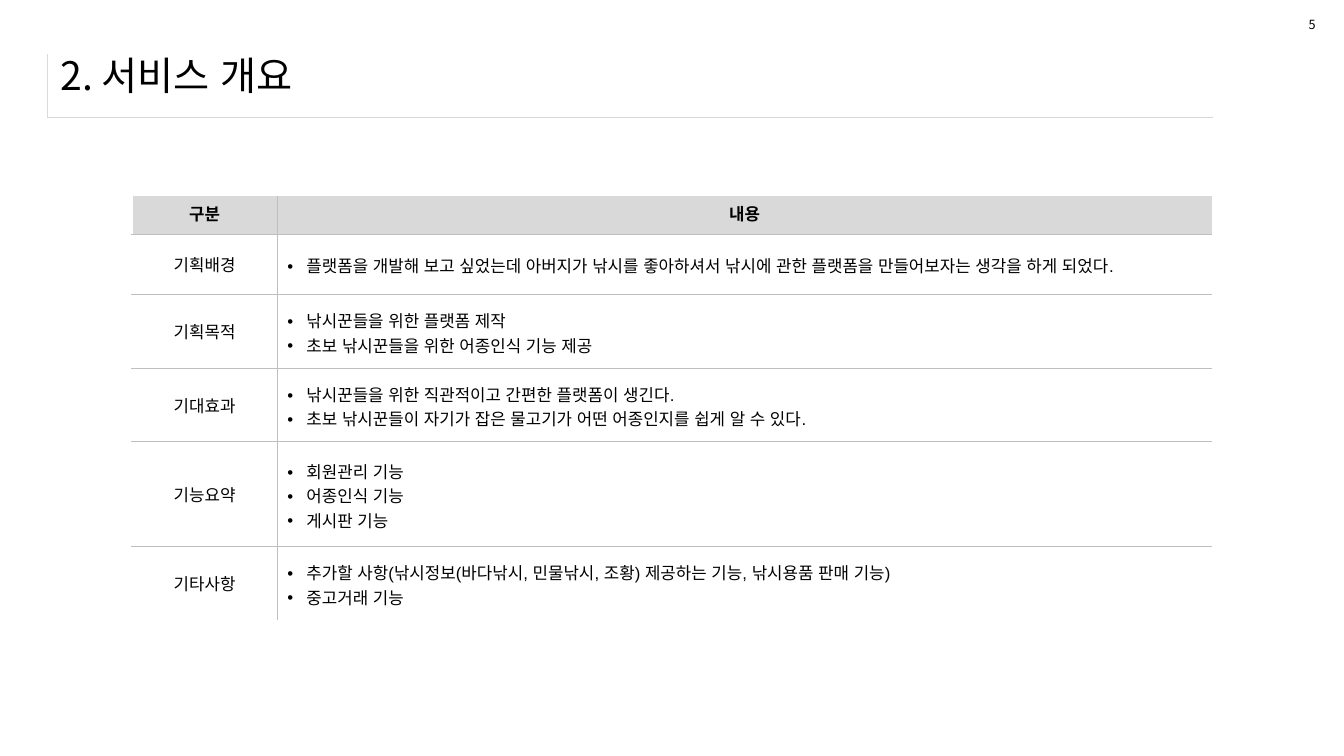
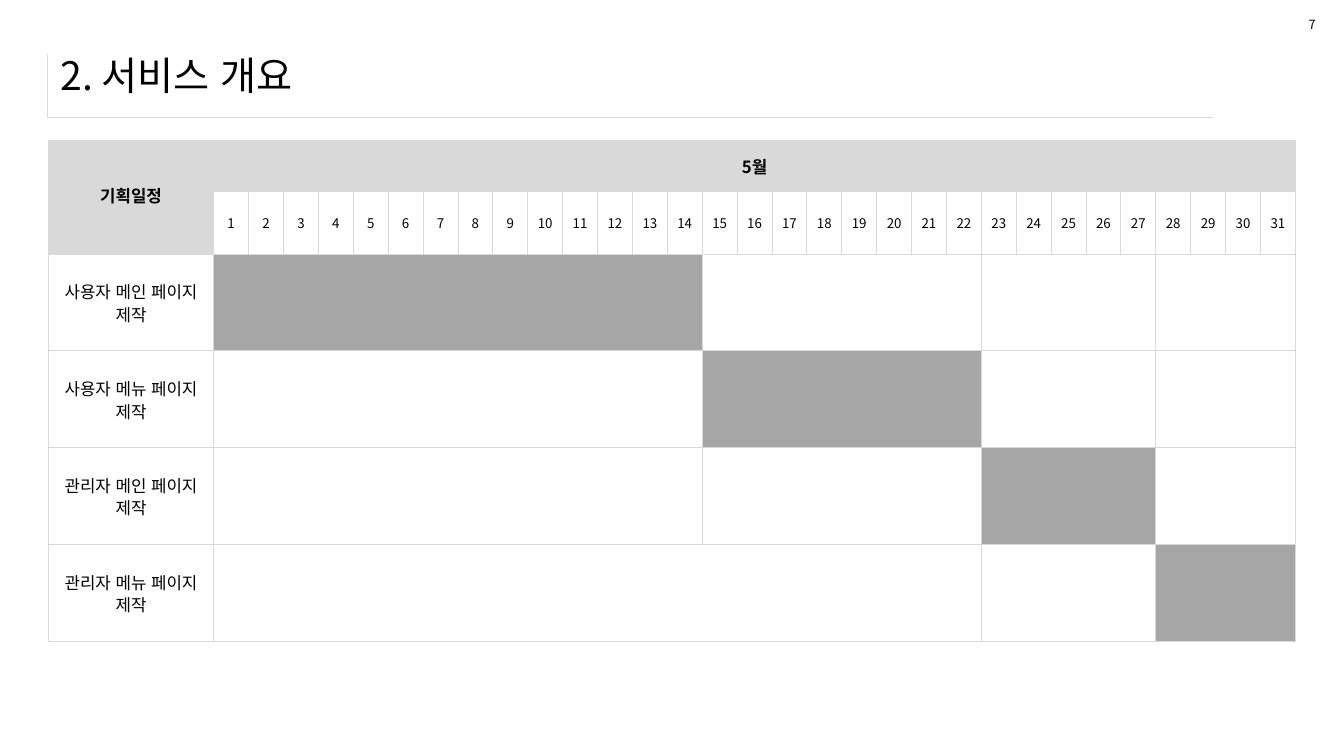
from dataclasses import dataclass
from pptx import Presentation, util as u
from pptx.dml.color import RGBColor
from pptx.enum import text as t
from pptx.oxml import ns, parse_xml

NOTO = "Noto Sans CJK KR"
ARIAL = "Arial"
BLACK, WHITE = "000000", "FFFFFF"
PALE, LINE, BAR = "D9D9D9", "BFBFBF", "A6A6A6"
PLAIN = "{2D5ABB26-0587-4C30-8999-92F81FD0307C}"
LEFT, MID, JUST = t.PP_ALIGN.LEFT, t.PP_ALIGN.CENTER, t.PP_ALIGN.JUSTIFY
TITLE = "2. 서비스 개요"
DAYS = 31


@dataclass(frozen=True)
class Topic:
    name: str
    points: tuple[str, ...]
    height: float = 0.73


@dataclass(frozen=True)
class Task:
    name: str
    start: int
    end: int
    cuts: tuple[int, ...] = (14, 22, 27)


@dataclass(frozen=True)
class Edge:
    color: str
    width: float


THIN, GRID, CLEAR = Edge(LINE, 0.25), Edge(PALE, 0.75), Edge(WHITE, 1)
RULE = Edge(PALE, 0.25)

TOPICS = (
    Topic("기획배경", (
        "플랫폼을 개발해 보고 싶었는데 아버지가 낚시를 좋아하셔서 "
        "낚시에 관한 플랫폼을 만들어보자는 생각을 하게 되었다.",), 0.6),
    Topic("기획목적", (
        "낚시꾼들을 위한 플랫폼 제작",
        "초보 낚시꾼들을 위한 어종인식 기능 제공")),
    Topic("기대효과", (
        "낚시꾼들을 위한 직관적이고 간편한 플랫폼이 생긴다.",
        "초보 낚시꾼들이 자기가 잡은 물고기가 어떤 어종인지를 쉽게 알 수 있다.")),
    Topic("기능요약", ("회원관리 기능", "어종인식 기능", "게시판 기능"), 1.04),
    Topic("기타사항", (
        "추가할 사항(낚시정보(바다낚시, 민물낚시, 조황) 제공하는 기능, "
        "낚시용품 판매 기능)",
        "중고거래 기능")),
)
TASKS = (
    Task("사용자 메인 페이지 제작", 1, 14),
    Task("사용자 메뉴 페이지 제작", 15, 22),
    Task("관리자 메인 페이지 제작", 23, 27),
    Task("관리자 메뉴 페이지 제작", 28, 31, (22, 27)),
)


def paint(fill, color: str) -> None:
    fill.solid()
    fill.fore_color.rgb = RGBColor.from_string(color)


def write(frame, *lines: str, size: float = 12, face: str = NOTO,
          bold: bool = False, align=MID, space: float | None = None,
          bullet: bool = False) -> None:
    for index, line in enumerate(lines):
        para = frame.add_paragraph() if index else frame.paragraphs[0]
        para.alignment = align
        if space:
            para.line_spacing = space
        if bullet:
            props = para._p.get_or_add_pPr()
            props.set("marL", str(u.Inches(0.19)))
            props.set("indent", str(-u.Inches(0.19)))
            for tag, key, value in (("buFont", "typeface", ARIAL),
                                    ("buChar", "char", "•")):
                mark = props.makeelement(ns.qn(f"a:{tag}"), {key: value})
                props.append(mark)
        run = para.add_run()
        run.text = line
        font = run.font
        font.size, font.name, font.bold = u.Pt(size), face, bold
        paint(font.fill, BLACK)
        props = run._r.get_or_add_rPr()
        props.append(props.makeelement(ns.qn("a:ea"), {"typeface": ARIAL}))


def frame_cell(cell, **edges: Edge | None) -> None:
    props = cell._tc.get_or_add_tcPr()
    for index, side in enumerate("LRTB"):
        edge = edges.get(side)
        width, ink = 0, "<a:noFill/>"
        if edge:
            width = u.Pt(edge.width)
            ink = (f'<a:solidFill><a:srgbClr val="{edge.color}"/>'
                   '</a:solidFill>')
        props.insert(index, parse_xml(
            f'<a:ln{side} {ns.nsdecls("a")} w="{width}">{ink}</a:ln{side}>'))


def add_grid(slide, left: float, top: float, cols: list[float],
             rows: list[float]):
    shape = slide.shapes.add_table(
        len(rows), len(cols), u.Inches(left), u.Inches(top),
        u.Inches(sum(cols)), u.Inches(sum(rows)))
    table = shape.table
    table.first_row = table.horz_banding = False
    table._tbl.tblPr.find(ns.qn("a:tableStyleId")).text = PLAIN
    for col, width in zip(table.columns, cols):
        col.width = u.Inches(width)
    for row, height in zip(table.rows, rows):
        row.height = u.Inches(height)
    for cell in table.iter_cells():
        cell.fill.background()
        cell.vertical_anchor = t.MSO_ANCHOR.MIDDLE
    return table


def add_page(deck, number: int):
    slide = deck.slides.add_slide(deck.slide_layouts[5])
    rule = add_grid(slide, 0.47, 0.54, [11.56], [0.62])
    frame_cell(rule.cell(0, 0), L=RULE, B=RULE)
    title = slide.shapes.title
    title.left, title.top = u.Inches(0.5), u.Inches(0.41)
    title.width, title.height = u.Inches(12.49), u.Inches(0.67)
    title.text_frame.auto_size = t.MSO_AUTO_SIZE.NONE
    title.text_frame.vertical_anchor = t.MSO_ANCHOR.MIDDLE
    write(title.text_frame, TITLE, size=28, align=LEFT)
    box = slide.shapes.add_textbox(
        u.Inches(12.88), u.Inches(0.12), u.Inches(0.27), u.Inches(0.25))
    box.text_frame.word_wrap = False
    box.text_frame.auto_size = t.MSO_AUTO_SIZE.SHAPE_TO_FIT_TEXT
    write(box.text_frame, str(number), size=9, align=LEFT)
    return slide


def draw_topics(slide) -> None:
    heights = [0.38] + [topic.height for topic in TOPICS]
    table = add_grid(slide, 1.31, 1.94, [1.44, 9.27], heights)
    for col, head in enumerate(("구분", "내용")):
        paint(table.cell(0, col).fill, PALE)
        write(table.cell(0, col).text_frame, head, bold=True)
    for row, topic in enumerate(TOPICS, 1):
        write(table.cell(row, 0).text_frame, topic.name, face=ARIAL, space=1.2)
        write(table.cell(row, 1).text_frame, *topic.points, face=ARIAL,
              align=JUST, space=1.3, bullet=True)
    for row in range(len(heights)):
        top = THIN if row else None
        base = THIN if row < len(TOPICS) else None
        frame_cell(table.cell(row, 0), L=CLEAR, R=THIN, T=top, B=base)
        frame_cell(table.cell(row, 1), L=THIN, T=top, B=base)


def draw_plan(slide) -> None:
    table = add_grid(slide, 0.48, 1.39, [1.64] + [10.74 / DAYS] * DAYS,
                     [0.51, 0.62] + [0.96] * len(TASKS))
    box = dict.fromkeys("LRTB", GRID)
    for col in range(DAYS + 1):
        for row in range(2):
            cell = table.cell(row, col)
            paint(cell.fill, WHITE if row and col else PALE)
            frame_cell(cell, **box)
    table.cell(0, 0).merge(table.cell(1, 0))
    table.cell(0, 1).merge(table.cell(0, DAYS))
    write(table.cell(0, 0).text_frame, "기획일정", bold=True)
    write(table.cell(0, 1).text_frame, "5월", bold=True)
    for day in range(1, DAYS + 1):
        cell = table.cell(1, day)
        cell.margin_left = cell.margin_right = 0
        write(cell.text_frame, str(day), size=9.5)
    for row, task in enumerate(TASKS, 2):
        label = table.cell(row, 0)
        write(label.text_frame, task.name, face=ARIAL, space=1.2)
        frame_cell(label, **box)
        stops = (0, *task.cuts, DAYS)
        for day in range(1, DAYS + 1):
            cell = table.cell(row, day)
            if task.start <= day <= task.end:
                paint(cell.fill, BAR)
            frame_cell(cell, L=GRID if day - 1 in stops else None,
                       R=GRID if day in stops else None, T=GRID, B=GRID)


def main() -> None:
    deck = Presentation()
    deck.slide_width, deck.slide_height = u.Inches(13.33), u.Inches(7.5)
    for number, draw in ((5, draw_topics), (7, draw_plan)):
        draw(add_page(deck, number))
    deck.save("out.pptx")


main()
